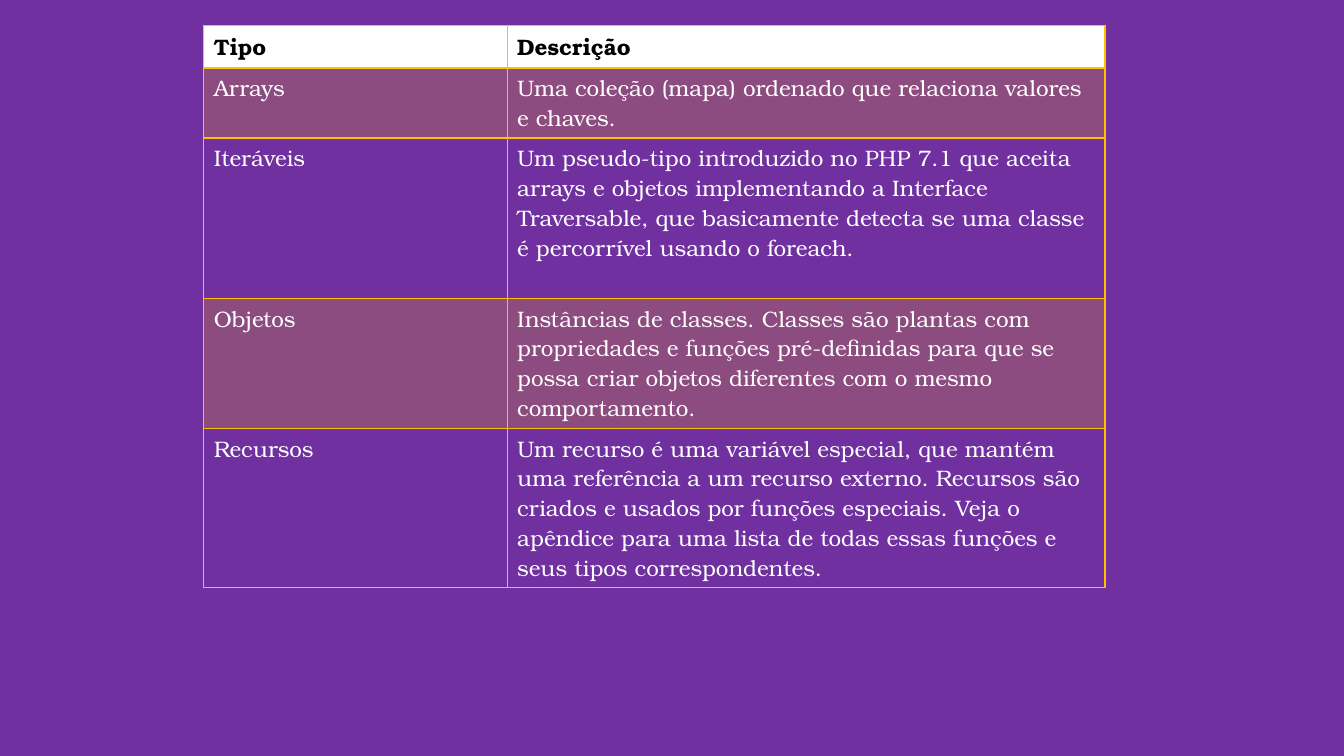
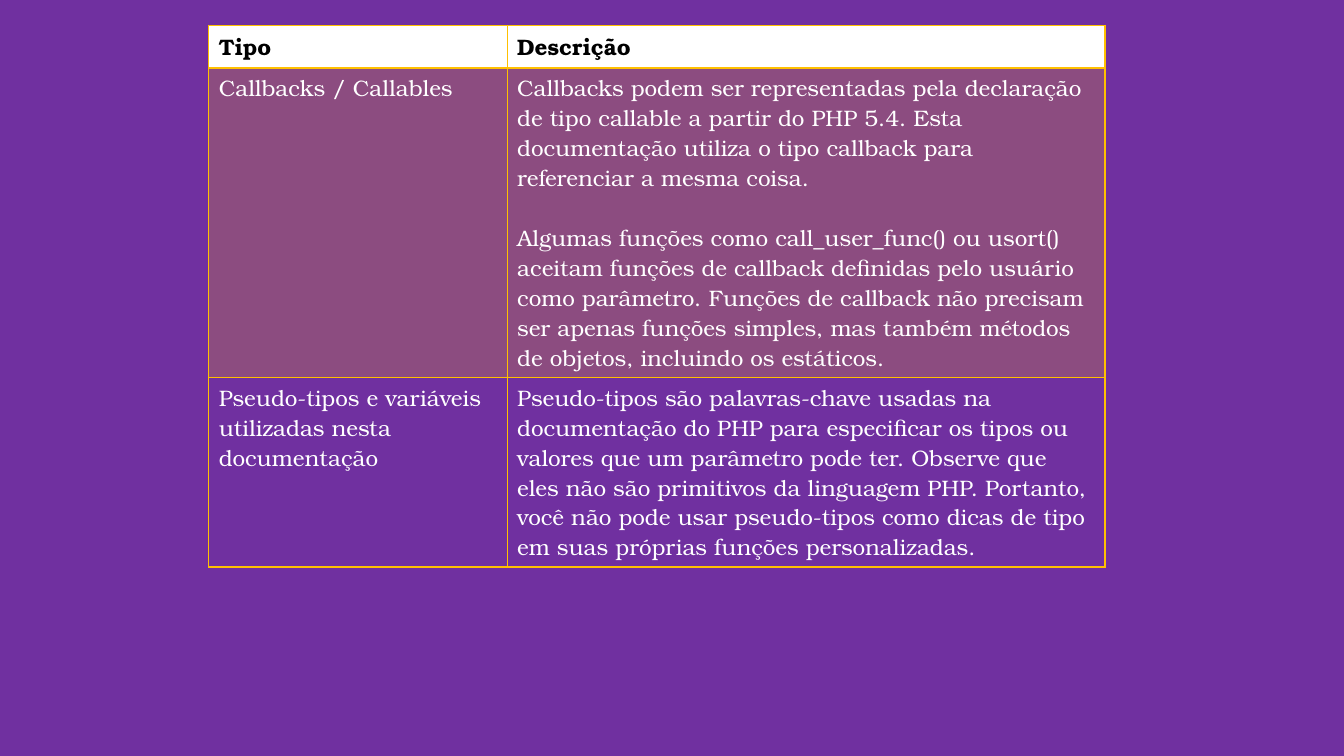
from pptx import Presentation
from pptx.dml.color import RGBColor
from pptx.oxml.ns import qn
from pptx.util import Inches, Pt
from lxml.etree import SubElement

PURPLE, GOLD, WHITE, BLACK = "7030A0", "FFC000", "FFFFFF", "000000"
FONT, SIZE = "TeX Gyre Bonum", 16
TOP, HEADER_HEIGHT, DESCRIPTION_WIDTH = 0.25, 0.42, 5.93
PARAGRAPH_GAP = 21.4
BAND_ALPHA = 20
HEADER = ("Tipo", "Descrição")

# Each row: type, description paragraphs, height
TABLES = [
    {"left": 2.02, "type_width": 3.01, "rows": [
        ("Arrays", ["Uma coleção (mapa) ordenado que relaciona valores e chaves."], 0.69),
        ("Iteráveis", ["Um pseudo-tipo introduzido no PHP 7.1 que aceita arrays e objetos "
                       "implementando a Interface Traversable, que basicamente detecta se "
                       "uma classe é percorrível usando o foreach."], 1.59),
        ("Objetos", ["Instâncias de classes. Classes são plantas com propriedades e funções "
                     "pré-definidas para que se possa criar objetos diferentes com o mesmo "
                     "comportamento."], 1.29),
        ("Recursos", ["Um recurso é uma variável especial, que mantém uma referência a um "
                      "recurso externo. Recursos são criados e usados por funções especiais. "
                      "Veja o apêndice para uma lista de todas essas funções e seus tipos "
                      "correspondentes."], 1.58),
    ]},
    {"left": 2.07, "type_width": 2.96, "rows": [
        ("Callbacks / Callables", [
            "Callbacks podem ser representadas pela declaração de tipo callable a partir do "
            "PHP 5.4. Esta documentação utiliza o tipo callback para referenciar a mesma coisa.",
            "Algumas funções como call_user_func() ou usort() aceitam funções de callback "
            "definidas pelo usuário como parâmetro. Funções de callback não precisam ser apenas "
            "funções simples, mas também métodos de objetos, incluindo os estáticos."], 3.07),
        ("Pseudo-tipos e variáveis utilizadas nesta documentação", [
            "Pseudo-tipos são palavras-chave usadas na documentação do PHP para especificar os "
            "tipos ou valores que um parâmetro pode ter. Observe que eles não são primitivos da "
            "linguagem PHP. Portanto, você não pode usar pseudo-tipos como dicas de tipo em suas "
            "próprias funções personalizadas."], 1.88),
    ]},
]


def paint(fill, color):
    """Give a fill one solid colour."""
    fill.solid()
    fill.fore_color.rgb = RGBColor.from_string(color)


def set_borders(cell, top, bottom):
    """Draw the four gold edges of a cell; widths in points."""
    tc_pr = cell._tc.get_or_add_tcPr()
    for edge, width in (("lnL", 1), ("lnR", 1), ("lnT", top), ("lnB", bottom)):
        ln = SubElement(tc_pr, qn(f"a:{edge}"), w=str(Pt(width)))
        SubElement(SubElement(ln, qn("a:solidFill")), qn("a:srgbClr"), val=GOLD)


def fill_cell(cell, row):
    """Fill the header white, odd rows translucent gold, and leave the rest clear."""
    if row == 0:
        paint(cell.fill, WHITE)
    elif row % 2:
        paint(cell.fill, GOLD)
        color = cell._tc.tcPr.find(qn("a:solidFill")).find(qn("a:srgbClr"))
        SubElement(color, qn("a:alpha"), val=str(BAND_ALPHA * 1000))
    else:
        cell.fill.background()


def write(cell, paragraphs, header):
    """Write the paragraphs of a cell in the header or body style."""
    tf = cell.text_frame
    for i, text in enumerate(paragraphs):
        p = tf.add_paragraph() if i else tf.paragraphs[0]
        p.text = text
        p.font.name, p.font.size, p.font.bold = FONT, Pt(SIZE), header
        p.font.color.rgb = RGBColor.from_string(BLACK if header else WHITE)
        if i:
            p.space_before = Pt(PARAGRAPH_GAP)


def add_type_table(s, left, type_width, rows):
    """Add one table of types and descriptions under the shared header."""
    lines = [(HEADER[0], [HEADER[1]], HEADER_HEIGHT), *rows]
    widths = (type_width, DESCRIPTION_WIDTH)
    height = sum(line[2] for line in lines)
    table = s.shapes.add_table(len(lines), 2, Inches(left), Inches(TOP),
                               Inches(sum(widths)), Inches(height)).table
    table.first_row = table.horz_banding = False
    for column, width in zip(table.columns, widths):
        column.width = Inches(width)
    for r, (name, description, row_height) in enumerate(lines):
        table.rows[r].height = Inches(row_height)
        for c, paragraphs in enumerate(([name], description)):
            cell = table.cell(r, c)
            set_borders(cell, top=2 if r == 1 else 1, bottom=2 if r == 0 else 1)
            fill_cell(cell, r)
            write(cell, paragraphs, header=r == 0)


prs = Presentation()
prs.slide_width, prs.slide_height = Inches(13.33), Inches(7.5)
paint(prs.slide_master.background.fill, PURPLE)
for content in TABLES:
    add_type_table(prs.slides.add_slide(prs.slide_layouts[6]), **content)
prs.save("out.pptx")
